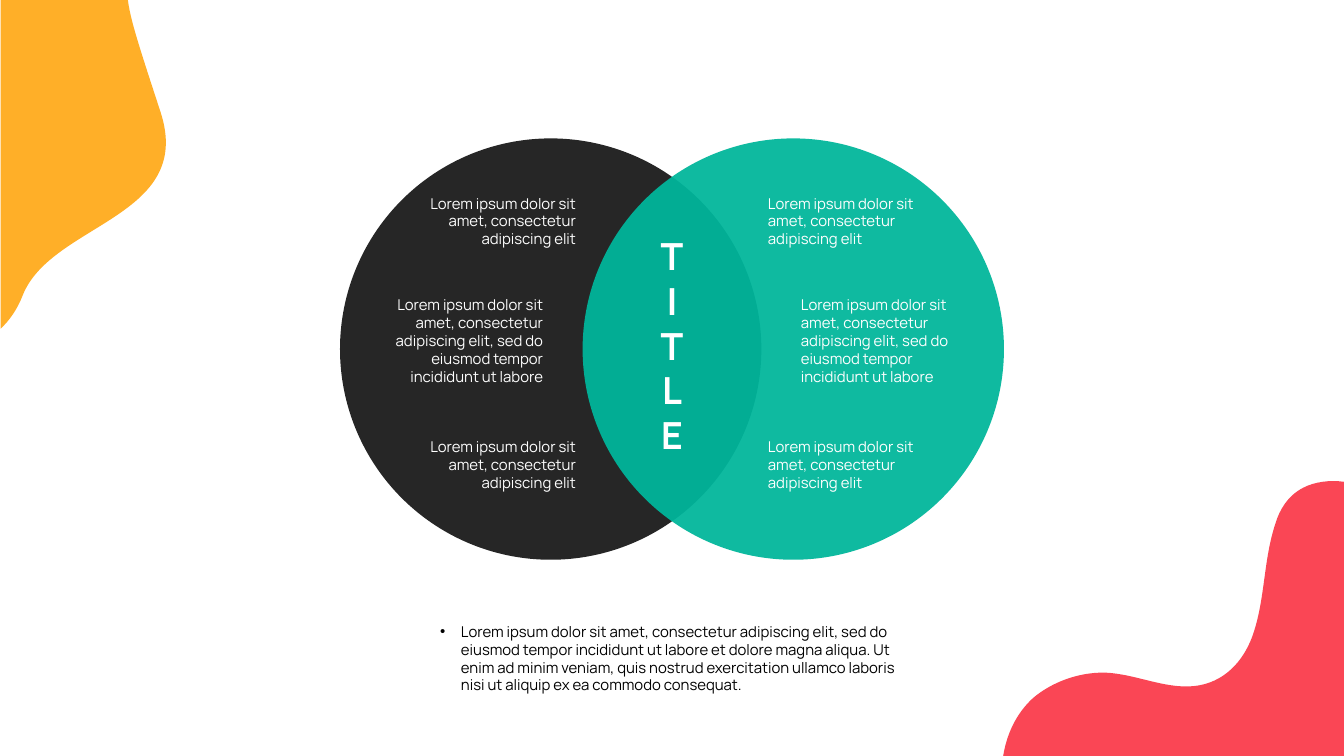
from dataclasses import dataclass

from lxml import etree
from pptx import Presentation
from pptx.dml.color import RGBColor
from pptx.enum.shapes import MSO_SHAPE
from pptx.enum.text import MSO_ANCHOR, MSO_AUTO_SIZE, PP_ALIGN
from pptx.oxml.ns import qn
from pptx.util import Inches, Pt

OVAL = MSO_SHAPE.OVAL
TOP = MSO_ANCHOR.TOP
FIXED = MSO_AUTO_SIZE.NONE
LEFT, CENTER, RIGHT = PP_ALIGN.LEFT, PP_ALIGN.CENTER, PP_ALIGN.RIGHT


@dataclass(frozen=True)
class Theme:
    """Hold the colours, type sizes and font of the slide."""
    font: str = "Manrope"
    dark: str = "262626"
    teal: str = "00B69B"
    yellow: str = "FFAF28"
    red: str = "FA4655"
    white: str = "FFFFFF"
    black: str = "000000"
    title_size: int = 40
    body_size: int = 16


THEME = Theme()
WIDTH, HEIGHT = 20, 11.25
SHORT = "Lorem ipsum dolor sit amet, consectetur adipiscing elit"
LONG = SHORT + ", sed do eiusmod tempor incididunt ut labore"
CAPTION = (LONG + " et dolore magna aliqua. Ut enim ad minim veniam, quis nostrud "
           "exercitation ullamco laboris nisi ut aliquip ex ea commodo consequat.")
YELLOW_START, YELLOW_CORNER = (0.01, 4.89), (0.01, -0.03)
YELLOW_CURVES = [
    [(0.14, 4.77), (0.26, 4.6), (0.34, 4.39)],
    [(0.77, 3.32), (2.9, 3.24), (2.39, 1.67)],
    [(2.07, 0.69), (1.93, 0.27), (1.9, -0.03)],
]
RED_START, RED_CORNER = (20, 7.17), (20, 11.31)
RED_CURVES = [
    [(19.79, 7.14), (19.56, 7.17), (19.39, 7.26)],
    [(19.16, 7.38), (19.04, 7.59), (18.98, 7.79)],
    [(18.8, 8.33), (18.83, 8.89), (18.65, 9.43)],
    [(18.54, 9.76), (18.29, 10.12), (17.84, 10.2)],
    [(17.38, 10.28), (16.92, 10.03), (16.45, 10.01)],
    [(16.04, 10), (15.64, 10.16), (15.37, 10.39)],
    [(15.11, 10.63), (14.98, 10.94), (14.93, 11.24)],
    [(14.93, 11.26), (14.92, 11.29), (14.92, 11.31)],
]


def place(shape, box):
    """Move a shape to a box given in inches."""
    shape.left, shape.top, shape.width, shape.height = map(Inches, box)


def paint(shape, colour, opacity=100):
    """Fill a shape with one plain colour and no outline."""
    shape.shadow.inherit = False
    shape.fill.solid()
    shape.fill.fore_color.rgb = RGBColor.from_string(colour)
    shape.line.fill.background()
    if opacity < 100:
        tint = shape._element.spPr.find(qn("a:solidFill"))[0]
        etree.SubElement(tint, qn("a:alpha")).set("val", str(opacity * 1000))


def write(shape, lines, *, size=THEME.body_size, colour=THEME.white,
          align=LEFT, bold=False, hanging=0):
    """Write lines of text into a shape, one paragraph each."""
    frame = shape.text_frame
    frame.word_wrap, frame.auto_size = True, FIXED
    frame.vertical_anchor = TOP
    frame.text = "\n".join(lines)
    for para in frame.paragraphs:
        para.alignment = align
        para.space_before = Pt(0)
        if hanging:
            properties = para._p.get_or_add_pPr()
            properties.set("marL", str(Inches(hanging)))
            properties.set("indent", str(-Inches(hanging)))
        for span in para.runs:
            span.font.name, span.font.size = THEME.font, Pt(size)
            span.font.bold = bold
            span.font.color.rgb = RGBColor.from_string(colour)


def draw_blob(page, start, curves, corner, colour):
    """Draw a curved patch that closes through a corner of the slide."""
    points = [point for curve in curves for point in curve] + [corner]
    hundredths = [(round(x * 100), round(y * 100)) for x, y in [start] + points]
    builder = page.shapes.build_freeform(*hundredths[0], scale=Inches(0.01))
    builder.add_line_segments(hundredths[1:], close=True)
    blob = builder.convert_to_shape()
    segments = list(blob._element.iter(qn("a:lnTo")))
    for first in range(0, 3 * len(curves), 3):
        bend = etree.Element(qn("a:cubicBezTo"))
        segments[first].addprevious(bend)
        for segment in segments[first:first + 3]:
            bend.append(segment[0])
            segment.getparent().remove(segment)
    paint(blob, colour)


def draw_venn(page, box):
    """Draw two overlapping circles with three notes on each side."""
    left, top, width, size = box
    circles = ((left, THEME.dark, 100), (left + width - size, THEME.teal, 94))
    for x, colour, opacity in circles:
        circle = page.shapes.add_shape(OVAL, *map(Inches, (x, top, size, size)))
        paint(circle, colour, opacity)
    note_width = 2.49
    notes = ((0.78, 1.12, 0.91, SHORT), (2.29, 0.63, 1.45, LONG), (4.4, 1.12, 0.91, SHORT))
    for down, inset, height, words in notes:
        sides = ((left + inset, RIGHT), (left + width - inset - note_width, LEFT))
        for x, align in sides:
            note = page.shapes.add_textbox(*map(Inches, (x, top + down, note_width, height)))
            write(note, [words], align=align)


def draw_title(page, box):
    """Stack the letters of the title in its placeholder."""
    title = page.shapes.title
    place(title, box)
    write(title, "TITLE", size=THEME.title_size, align=CENTER, bold=True)
    page.shapes._spTree.append(title._element)


def draw_caption(page, box):
    """Set the bulleted caption in the body placeholder."""
    body = page.placeholders[1]
    place(body, box)
    write(body, [CAPTION], colour=THEME.black, hanging=0.31)


def main():
    """Build the slide and save it."""
    deck = Presentation()
    deck.slide_width, deck.slide_height = Inches(WIDTH), Inches(HEIGHT)
    page = deck.slides.add_slide(deck.slide_layouts[1])
    draw_venn(page, (5.06, 2.06, 9.88, 6.27))
    draw_title(page, (9.6, 3.42, 0.8, 3.47))
    draw_caption(page, (6.45, 9.21, 7.31, 1.18))
    draw_blob(page, YELLOW_START, YELLOW_CURVES, YELLOW_CORNER, THEME.yellow)
    draw_blob(page, RED_START, RED_CURVES, RED_CORNER, THEME.red)
    deck.save("out.pptx")


main()
